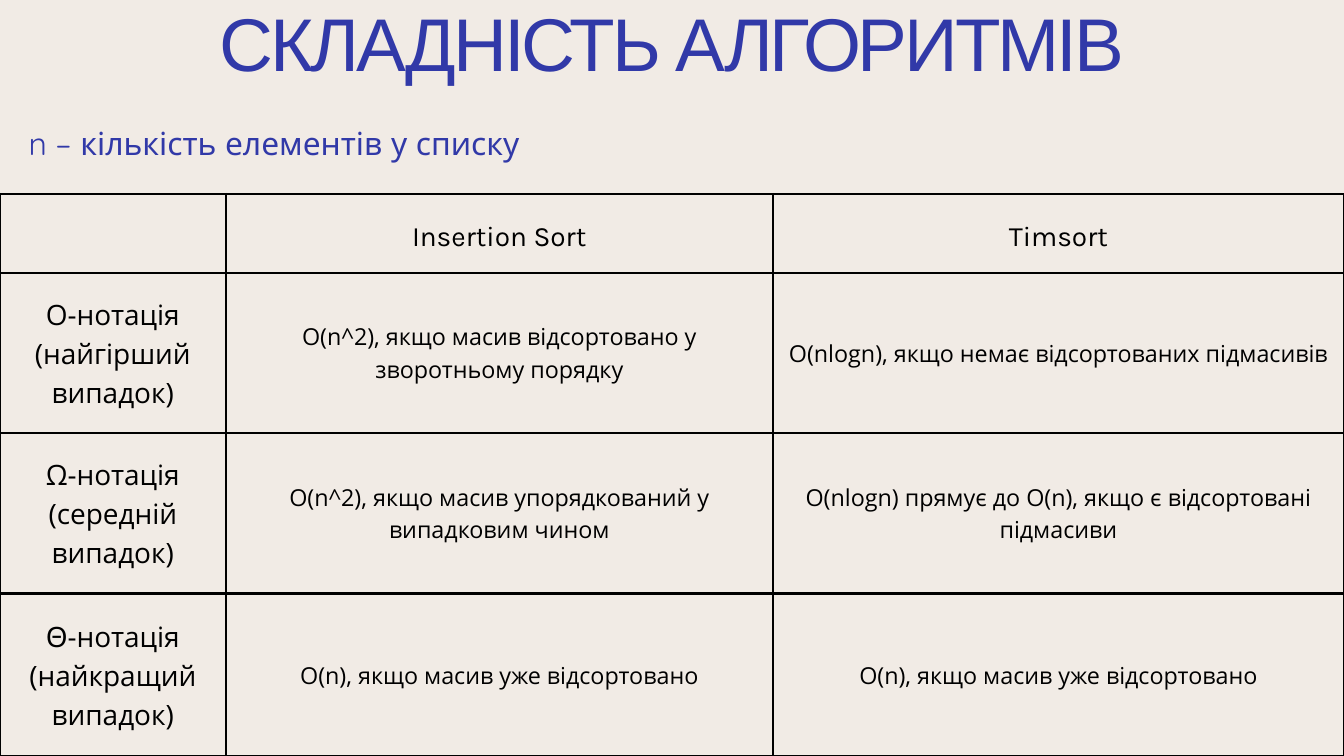
from lxml.etree import SubElement
from pptx import Presentation
from pptx.dml.color import RGBColor
from pptx.enum.text import MSO_ANCHOR, MSO_AUTO_SIZE, PP_ALIGN
from pptx.oxml.ns import qn
from pptx.util import Inches, Pt

PAPER = RGBColor(0xF1, 0xEB, 0xE5)
INDIGO = RGBColor(0x31, 0x39, 0xA8)
BLACK = RGBColor(0, 0, 0)

# Content: each table cell is a list of (text, font) spans
TITLE = "СКЛАДНІСТЬ АЛГОРИТМІВ"
SUBTITLE = "n – кількість елементів у списку"
BODY_FONT = "Open Sans"
ROWS = [
    [[], [("Insertion Sort", "Karla")], [("Timsort", "Karla")]],
    [[("O-нотація (найгірший випадок)", BODY_FONT)],
     [("O(n^2), якщо масив відсортовано у зворотньому порядку", BODY_FONT)],
     [("O(nlogn), якщо немає відсортованих підмасивів", BODY_FONT)]],
    [[("Ω-нотація (середній випадок)", BODY_FONT)],
     [("O(n^2), якщо масив упорядкований у випадковим чином", BODY_FONT)],
     [("O(nlogn) прямує до О(n), якщо є відсортовані підмасиви", BODY_FONT)]],
    [[("Θ", "Cabin"), ("-нотація (найкращий випадок)", BODY_FONT)],
     [("O(n), якщо масив уже відсортовано", BODY_FONT)],
     [("O(n), якщо масив уже відсортовано", BODY_FONT)]],
]

# Layout, in inches
WIDTH, HEIGHT = 20, 11.25
COLUMN_WIDTHS = [3.36, 8.14, 8.5]
ROW_HEIGHTS = [1.17, 2.38, 2.39, 2.43]
TABLE_TOP = 2.89
CELL_MARGIN = 0.21
SIDES = ("left", "right", "top", "bottom")

# Text formats
HEADING_SIZE, DETAIL_SIZE, CELL_LEADING = 30, 25, 1.4
TITLE_FORMAT = {"size": Pt(80), "name": "Arial", "bold": False}
SUBTITLE_FORMAT = {"size": Pt(34), "name": "Quicksand", "bold": False}


def add_span(para, text, color, formats):
    span = para.add_run()
    span.text = text
    for key, value in formats.items():
        setattr(span.font, key, value)
    span.font.color.rgb = color
    return span


def fill_box(box, place, text, align, leading, formats):
    box.left, box.top, box.width, box.height = map(Inches, place)
    frame = box.text_frame
    frame.word_wrap = True
    frame.auto_size = MSO_AUTO_SIZE.NONE
    frame.vertical_anchor = MSO_ANCHOR.TOP
    for side in SIDES:
        setattr(frame, f"margin_{side}", 0)
    para = frame.paragraphs[0]
    para.alignment, para.line_spacing = align, Pt(leading)
    para.space_before = Pt(0)
    return add_span(para, text, INDIGO, formats)


def add_borders(cell):
    properties = cell._tc.get_or_add_tcPr()
    for index, tag in enumerate(("a:lnL", "a:lnR", "a:lnT", "a:lnB")):
        line = SubElement(properties, qn(tag), w=str(Pt(3)))
        fill = SubElement(line, qn("a:solidFill"))
        SubElement(fill, qn("a:srgbClr"), val=str(BLACK))
        properties.insert(index, line)  # borders go before the cell fill


def fill_cell(cell, spans, size):
    cell.fill.background()
    cell.vertical_anchor = MSO_ANCHOR.MIDDLE
    for side in SIDES:
        setattr(cell, f"margin_{side}", Inches(CELL_MARGIN))
    para = cell.text_frame.paragraphs[0]
    para.alignment = PP_ALIGN.CENTER
    para.line_spacing = Pt(size * CELL_LEADING)
    for text, font in spans:
        add_span(para, text, BLACK, {"size": Pt(size), "name": font, "bold": False})
    add_borders(cell)


def main():
    deck = Presentation()
    deck.slide_width, deck.slide_height = Inches(WIDTH), Inches(HEIGHT)
    page = deck.slides.add_slide(deck.slide_layouts[5])
    page.background.fill.solid()
    page.background.fill.fore_color.rgb = PAPER

    # Complexity table
    table = page.shapes.add_table(
        len(ROWS), len(COLUMN_WIDTHS), 0, Inches(TABLE_TOP),
        Inches(sum(COLUMN_WIDTHS)), Inches(sum(ROW_HEIGHTS))).table
    table.first_row = table.horz_banding = False
    for column, width in zip(table.columns, COLUMN_WIDTHS):
        column.width = Inches(width)
    for row, height in zip(table.rows, ROW_HEIGHTS):
        row.height = Inches(height)
    for r, row in enumerate(ROWS):
        for c, spans in enumerate(row):
            is_heading = r == 0 or c == 0
            fill_cell(table.cell(r, c), spans,
                      HEADING_SIZE if is_heading else DETAIL_SIZE)

    # Title and the line below it
    title = fill_box(page.shapes.title, (0, 0.17, WIDTH, 1.16), TITLE,
                     PP_ALIGN.CENTER, 80, TITLE_FORMAT)
    title.font._element.set("spc", "-340")
    subtitle = page.shapes.add_textbox(0, 0, 0, 0)
    fill_box(subtitle, (0.1, 1.75, 7.96, 0.63), SUBTITLE,
             PP_ALIGN.CENTER, 47.6, SUBTITLE_FORMAT)

    deck.save("out.pptx")


if __name__ == "__main__":
    main()
